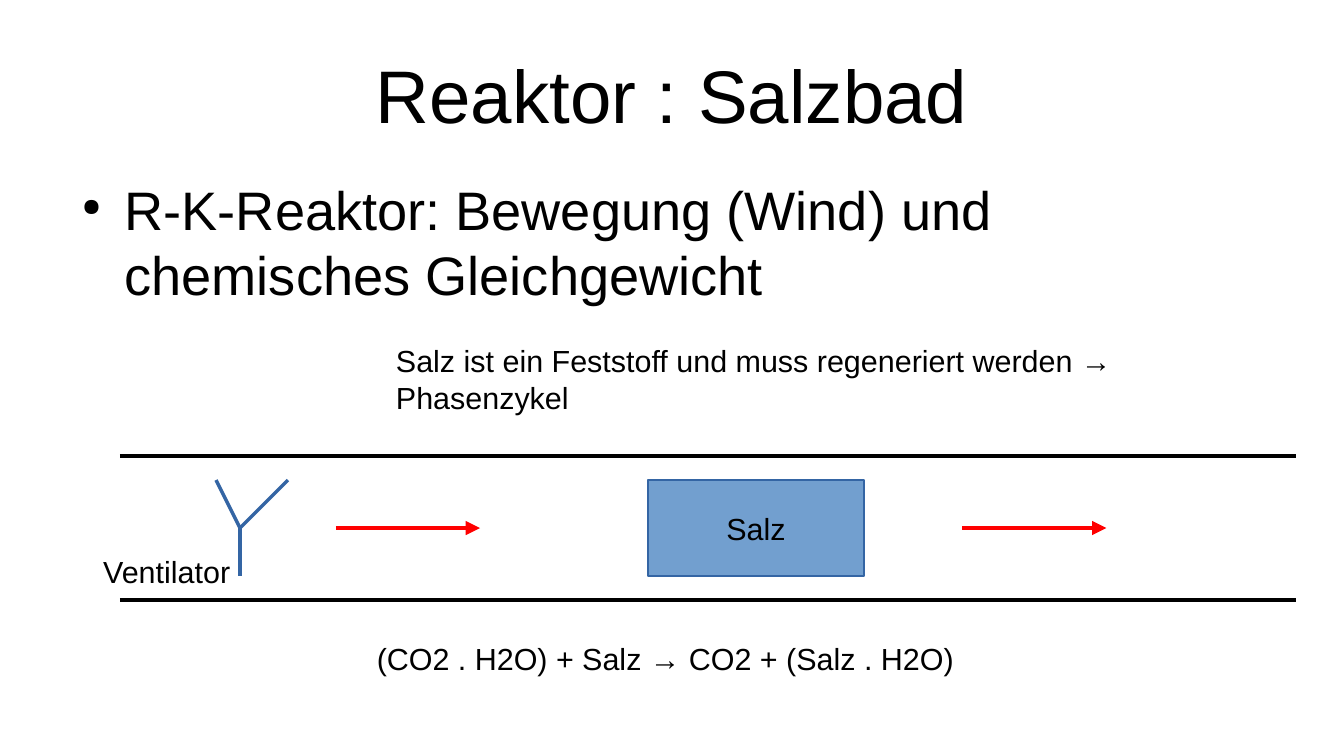
"""Build the salt bath reactor slide on a grid of half-centimetre cells."""
from dataclasses import dataclass

from lxml.etree import SubElement
from pptx import Presentation
from pptx.dml.color import RGBColor
from pptx.enum.shapes import MSO_CONNECTOR as Connector, MSO_SHAPE as Shape
from pptx.enum.text import MSO_ANCHOR as Anchor, PP_ALIGN as Align
from pptx.oxml.ns import qn
from pptx.util import Cm, Inches, Length, Pt

COLUMNS, ROWS = 56, 31.5
FONT = "Arial"
COLORS = {
    "text": "000000",
    "wall": "000000",
    "flow": "FF0000",
    "outline": "3465A4",
    "salt": "729FCF",
}


@dataclass(frozen=True)
class Line:
    start: tuple[float, float]
    end: tuple[float, float]
    color: str
    width: float = 2.83
    arrow: bool = False


@dataclass(frozen=True)
class Label:
    text: str
    column: float
    row: float
    columns: float
    rows: float
    size: float = 18
    align: Align = Align.LEFT
    anchor: Anchor = Anchor.TOP
    padded: bool = True
    bullet: bool = False


DUCT = (5, 54)
FLOW_ROW = 22
FLOW_LENGTH = 6
HUB = (10, FLOW_ROW)

WALLS = [Line((DUCT[0], row), (DUCT[1], row), "wall") for row in (19, 25)]
FAN = [Line(HUB, tip, "outline", 0) for tip in ((9, 20), (12, 20), (10, 24))]
FLOWS = [
    Line((column, FLOW_ROW), (column + FLOW_LENGTH, FLOW_ROW), "flow", arrow=True)
    for column in (14, 40.1)
]
LABELS = [
    Label("Reaktor : Salzbad", 2.8, 1.25, 50.4, 5.3, size=44,
          align=Align.CENTER, anchor=Anchor.MIDDLE, padded=False),
    Label("R-K-Reaktor: Bewegung (Wind) und chemisches Gleichgewicht",
          2.8, 7.35, 50.4, 5.65, size=32, padded=False, bullet=True),
    Label("Ventilator", 3.8, 22.8, 7, 2),
    Label("(CO2 . H2O) + Salz → CO2 + (Salz . H2O)", 15.2, 26.4, 27.6, 1.95),
    Label("Salz ist ein Feststoff und muss regeneriert werden → Phasenzykel",
          16, 14, 31, 3.35),
]
SALT = Label("Salz", 27, 20, 9, 4, align=Align.CENTER, anchor=Anchor.MIDDLE)


def grid(*cells: float) -> list[Length]:
    """Turn grid cells into lengths."""
    return [Cm(cell / 2) for cell in cells]


def rgb(name: str) -> RGBColor:
    """Look up a colour by name."""
    return RGBColor.from_string(COLORS[name])


def add_bullet(paragraph) -> None:
    """Give a paragraph a small round bullet with a hanging indent."""
    properties = paragraph._p.get_or_add_pPr()
    properties.set("marL", str(Inches(0.47)))
    properties.set("indent", str(Inches(-0.35)))
    color = SubElement(properties, qn("a:buClr"))
    SubElement(color, qn("a:srgbClr"), val=COLORS["text"])
    SubElement(properties, qn("a:buSzPct"), val="45000")
    SubElement(properties, qn("a:buChar"), char="●")


def write_text(shape, text: str, *, size: float, align: Align, anchor: Anchor,
               padded: bool, bullet: bool) -> None:
    """Write one formatted paragraph into a shape."""
    frame = shape.text_frame
    frame.word_wrap = True
    frame.vertical_anchor = anchor
    frame.margin_left = frame.margin_right = Inches(0.1 if padded else 0)
    frame.margin_top = frame.margin_bottom = Inches(0.05 if padded else 0)
    paragraph = frame.paragraphs[0]
    paragraph.alignment = align
    if bullet:
        add_bullet(paragraph)
    run = paragraph.add_run()
    run.text = text
    run.font.name = FONT
    run.font.size = Pt(size)
    run.font.color.rgb = rgb("text")


def fill_label(shape, label: Label) -> None:
    """Write a label into its shape."""
    write_text(shape, label.text, size=label.size, align=label.align,
               anchor=label.anchor, padded=label.padded, bullet=label.bullet)


def draw_label(slide, label: Label) -> None:
    """Draw a label as a text box."""
    box = grid(label.column, label.row, label.columns, label.rows)
    fill_label(slide.shapes.add_textbox(*box), label)


def draw_block(slide, label: Label) -> None:
    """Draw a label as a filled rectangle."""
    box = grid(label.column, label.row, label.columns, label.rows)
    block = slide.shapes.add_shape(Shape.RECTANGLE, *box)
    block.shadow.inherit = False
    block.fill.solid()
    block.fill.fore_color.rgb = rgb("salt")
    block.line.color.rgb = rgb("outline")
    block.line.width = Pt(0)
    fill_label(block, label)


def draw_line(slide, line: Line) -> None:
    """Draw a straight line, with an arrowhead if asked."""
    connector = slide.shapes.add_connector(
        Connector.STRAIGHT, *grid(*line.start, *line.end))
    connector.line.color.rgb = rgb(line.color)
    connector.line.width = Pt(line.width)
    if line.arrow:
        SubElement(connector.line._get_or_add_ln(), qn("a:tailEnd"), type="triangle")
    SubElement(connector._element.spPr, qn("a:effectLst"))


def main() -> None:
    """Build and save the presentation."""
    presentation = Presentation()
    presentation.slide_width, presentation.slide_height = grid(COLUMNS, ROWS)
    slide = presentation.slides.add_slide(presentation.slide_layouts[6])
    for line in WALLS + FAN + FLOWS:
        draw_line(slide, line)
    draw_block(slide, SALT)
    for label in LABELS:
        draw_label(slide, label)
    presentation.save("out.pptx")


if __name__ == "__main__":
    main()
